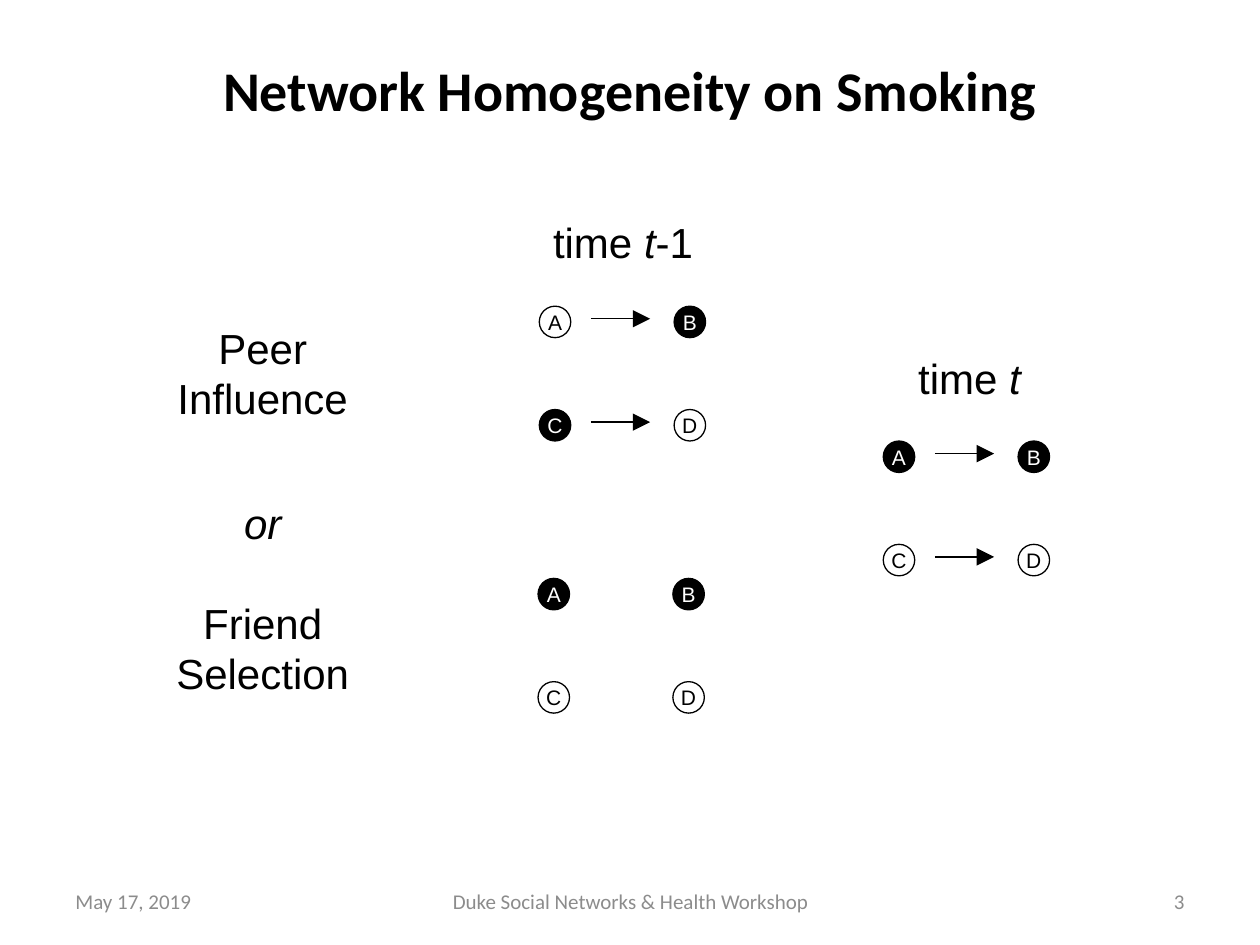
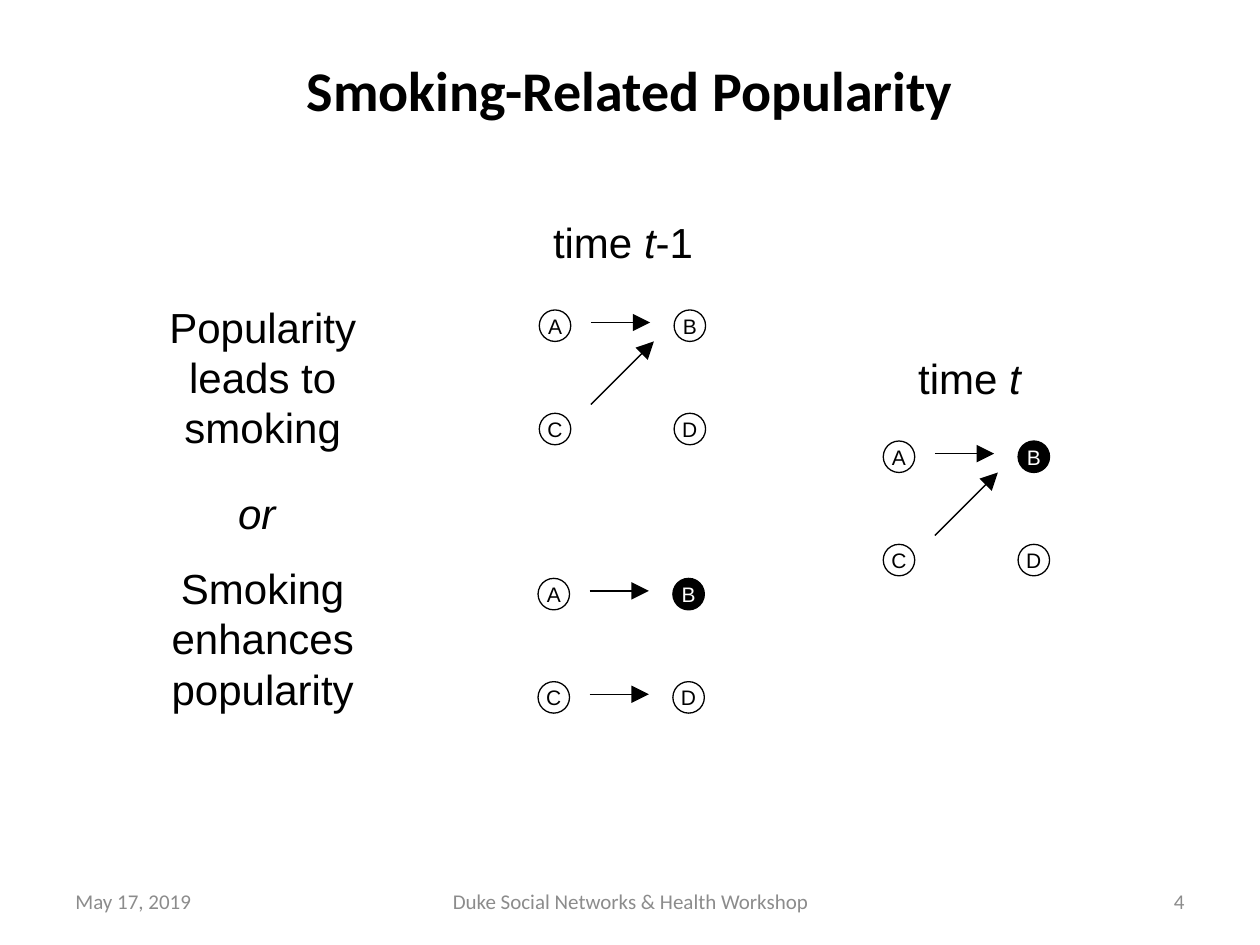
from lxml import etree
from pptx import Presentation
from pptx import util as u
from pptx.dml.color import RGBColor
from pptx.enum import shapes, text
from pptx.oxml.ns import qn

BLACK, WHITE, GREY = "000000", "FFFFFF", "8C8C8C"
BODY_FONT, TITLE_FONT = "Arial", "Calibri"
LEFT, CENTER, RIGHT = text.PP_ALIGN.LEFT, text.PP_ALIGN.CENTER, text.PP_ALIGN.RIGHT
DATE, EVENT = "May 17, 2019", "Duke Social Networks & Health Workshop"

NODE_SIZE, COLUMN_STEP, ROW_STEP = 0.25, 1.07, 0.82
NODE_CELLS = {"A": (0, 0), "B": (1, 0), "C": (0, 1), "D": (1, 1)}
TIE_ENDS = {
    "AB": (0.41, 0.1, 0.88, 0.1),
    "CD": (0.41, 0.92, 0.88, 0.92),
    "CB": (0.41, 0.75, 0.91, 0.25),
}

SLIDES = [
    {
        "title": "Network Homogeneity on Smoking",
        "first": (2.51, 0.91, "Peer Influence"),
        "second": (3.9, 1.72, "or", "Friend Selection", 28),
        "networks": [
            (7.01, 3.5, "AB", ["AB", "CD"]),
            (4.28, 2.43, "BC", ["AB", "CD"]),
            (4.27, 4.59, "AB", []),
        ],
    },
    {
        "title": "Smoking-Related Popularity",
        "first": (2.34, 1.31, "Popularity leads to smoking"),
        "second": (3.82, 1.92, "or ", "Smoking enhances popularity", 14),
        "networks": [
            (7.01, 3.5, "B", ["AB", "CB"]),
            (4.28, 2.46, "", ["AB", "CB"]),
            (4.27, 4.59, "B", ["AB", "CD"]),
        ],
    },
]


def inches(*lengths):
    """Convert numbers to a list of Inches."""
    return [u.Inches(length) for length in lengths]


def style_font(font, name, size, color, bold=False, italic=False):
    """Set the face, size, colour and emphasis of a font."""
    font.name, font.size = name, u.Pt(size)
    font.bold, font.italic = bold, italic
    font.color.rgb = RGBColor.from_string(color)


def add_label(slide, box, paragraphs, name=BODY_FONT, size=24, color=BLACK,
              align=CENTER, anchor=text.MSO_ANCHOR.TOP, gap=0):
    """Add a text box whose paragraphs are lists of (words, italic) runs."""
    frame = slide.shapes.add_textbox(*inches(*box)).text_frame
    frame.word_wrap, frame.vertical_anchor = True, anchor
    for index, runs in enumerate(paragraphs):
        paragraph = frame.add_paragraph() if index else frame.paragraphs[0]
        paragraph.alignment = align
        if index:
            paragraph.space_before = u.Pt(gap)
        for words, italic in runs:
            run = paragraph.add_run()
            run.text = words
            style_font(run.font, name, size, color, italic=italic)


def add_node(slide, box, letter, smoker):
    """Add a lettered circle, black for a smoker and white otherwise."""
    node = slide.shapes.add_shape(shapes.MSO_SHAPE.OVAL, *inches(*box))
    node.shadow.inherit = False
    node.fill.solid()
    node.fill.fore_color.rgb = RGBColor.from_string(BLACK if smoker else WHITE)
    node.line.color.rgb = RGBColor.from_string(BLACK)
    node.line.width = u.Pt(0.75)
    frame = node.text_frame
    frame.margin_left = frame.margin_right = frame.margin_top = frame.margin_bottom = 0
    frame.word_wrap, frame.vertical_anchor = False, text.MSO_ANCHOR.MIDDLE
    frame.text = letter
    paragraph = frame.paragraphs[0]
    paragraph.alignment = CENTER
    style_font(paragraph.runs[0].font, BODY_FONT, 12, WHITE if smoker else BLACK)


def add_tie(slide, ends):
    """Add an arrow from the first point to the second."""
    tie = slide.shapes.add_connector(shapes.MSO_CONNECTOR.STRAIGHT, *inches(*ends))
    tie.line.color.rgb = RGBColor.from_string(BLACK)
    tie.line.width = u.Pt(0.75)
    line = tie.line._get_or_add_ln()
    etree.SubElement(line, qn("a:tailEnd"), type="triangle", w="lg", len="lg")
    etree.SubElement(tie._element.spPr, qn("a:effectLst"))


def add_network(slide, left, top, smokers, ties):
    """Draw the four people and their ties from the given corner."""
    for tie in ties:
        x1, y1, x2, y2 = TIE_ENDS[tie]
        add_tie(slide, (left + x1, top + y1, left + x2, top + y2))
    for letter, (column, row) in NODE_CELLS.items():
        box = (left + column * COLUMN_STEP, top + row * ROW_STEP, NODE_SIZE, NODE_SIZE)
        add_node(slide, box, letter, letter in smokers)


def add_title(slide, words):
    """Fill and place the title placeholder."""
    title = slide.shapes.title
    title.left, title.top, title.width, title.height = inches(0.5, 0.08, 9, 1.25)
    frame = title.text_frame
    frame.text = words
    frame.vertical_anchor = text.MSO_ANCHOR.MIDDLE
    frame.paragraphs[0].alignment = CENTER
    style_font(frame.paragraphs[0].runs[0].font, TITLE_FONT, 32, BLACK, bold=True)


def add_footer(slide, number):
    """Add the date, the event and the slide number."""
    parts = [(0.5, 2.33, DATE, LEFT), (3.42, 3.17, EVENT, CENTER),
             (7.17, 2.33, str(number), RIGHT)]
    for left, width, words, align in parts:
        add_label(slide, (left, 6.95, width, 0.4), [[(words, False)]], TITLE_FONT,
                  12, GREY, align, text.MSO_ANCHOR.MIDDLE)


def add_explanations(slide, first, second):
    """Add the two competing explanations on the left."""
    left, width = 1.17, 1.83
    top, height, words = first
    add_label(slide, (left, top, width, height), [[(words, False)]])
    top, height, joiner, words, gap = second
    add_label(slide, (left, top, width, height),
              [[(joiner, True)], [(words, False)]], gap=gap)


def add_comparison_slide(presentation, number, content):
    """Build a slide that sets two earlier networks against a later one."""
    slide = presentation.slides.add_slide(presentation.slide_layouts[5])
    add_title(slide, content["title"])
    add_explanations(slide, content["first"], content["second"])
    add_label(slide, (6.78, 2.75, 1.83, 0.5), [[("time ", False), ("t", True)]])
    add_label(slide, (4.03, 1.67, 1.83, 0.5),
              [[("time ", False), ("t", True), ("-1", False)]])
    for network in content["networks"]:
        add_network(slide, *network)
    add_footer(slide, number)


def main():
    """Build and save the presentation."""
    presentation = Presentation()
    presentation.slide_width, presentation.slide_height = inches(10, 7.5)
    for number, content in enumerate(SLIDES, start=3):
        add_comparison_slide(presentation, number, content)
    presentation.save("out.pptx")


if __name__ == "__main__":
    main()
